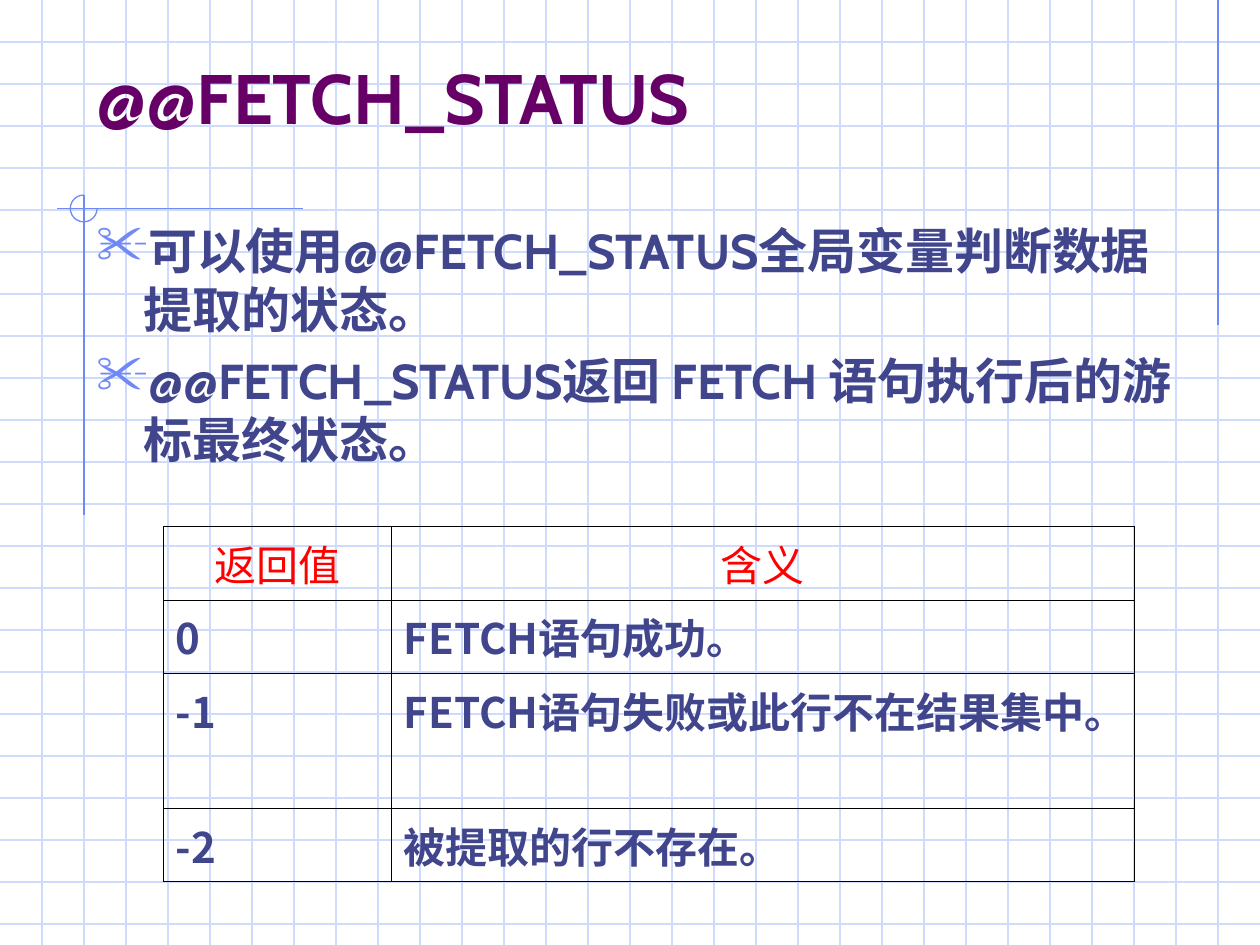
from lxml.etree import SubElement
from pptx import Presentation
from pptx.dml.color import RGBColor
from pptx.enum.shapes import MSO_CONNECTOR, MSO_SHAPE
from pptx.enum.text import MSO_ANCHOR, MSO_AUTO_SIZE, PP_ALIGN
from pptx.oxml import parse_xml
from pptx.oxml.ns import nsdecls, qn
from pptx.util import Pt

COLORS = {
    "grid": "CFDBFD",
    "accent": "6F89F7",
    "title": "660066",
    "text": "40458C",
    "header": "FF0000",
    "border": "000000",
}
WIDTH, HEIGHT, GRID_STEP = 720, 540, 24
HANGING = 27

prs = Presentation()
prs.slide_width, prs.slide_height = Pt(WIDTH), Pt(HEIGHT)
slide = prs.slides.add_slide(prs.slide_layouts[5])
shapes = slide.shapes


def add_rule(x1, y1, x2, y2, color):
    rule = shapes.add_connector(MSO_CONNECTOR.STRAIGHT, Pt(x1), Pt(y1), Pt(x2), Pt(y2))
    rule.line.color.rgb = RGBColor.from_string(COLORS[color])
    rule.line.width = Pt(0.75)
    SubElement(rule._element.spPr, qn("a:effectLst"))


def add_text(paragraph, text, size, font, color, bold=True):
    """Add one run, with the same font for Latin and East Asian letters."""
    run = paragraph.add_run()
    run.text = text
    run.font.size = Pt(size)
    run.font.bold = bold
    run.font.name = font
    run.font.color.rgb = RGBColor.from_string(COLORS[color])
    SubElement(run.font._element, qn("a:ea"), typeface=font)


# Squared paper
for y in range(GRID_STEP, HEIGHT, GRID_STEP):
    add_rule(0, y, WIDTH, y, "grid")
for x in range(GRID_STEP, WIDTH, GRID_STEP):
    add_rule(x, 0, x, HEIGHT, "grid")

# Accent lines and the open circle at their crossing
add_rule(696, 0, 696, 186, "accent")
add_rule(173, 119.2, 32.6, 119.2, "accent")
add_rule(48, 111.5, 48, 294.5, "accent")
circle = shapes.add_shape(MSO_SHAPE.ARC, Pt(40.2), Pt(111.5), Pt(15.3), Pt(15.3))
circle.adjustments[0] = 0
circle.adjustments[1] = 162  # 270 degrees
circle.shadow.inherit = False
circle.fill.background()
circle.line.color.rgb = RGBColor.from_string(COLORS["accent"])
circle.line.width = Pt(0.75)

# Title, in front of the grid
title = shapes.title
shapes._spTree.append(title._element)
title.left, title.top, title.width, title.height = Pt(48), Pt(24), Pt(612), Pt(59)
title.text_frame.auto_size = MSO_AUTO_SIZE.NONE
title.text_frame.vertical_anchor = MSO_ANCHOR.BOTTOM
heading = title.text_frame.paragraphs[0]
heading.alignment = PP_ALIGN.LEFT
add_text(heading, "@@FETCH_STATUS", 40, "Cabin", "title")

# Bulleted explanation
points = [
    "可以使用@@FETCH_STATUS全局变量判断数据提取的状态。",
    "@@FETCH_STATUS返回 FETCH 语句执行后的游标最终状态。",
]
body = shapes.add_textbox(Pt(48), Pt(122.4), Pt(633), Pt(158.4)).text_frame
body.word_wrap = True
for number, point in enumerate(points):
    paragraph = body.add_paragraph() if number else body.paragraphs[0]
    props = paragraph._p.get_or_add_pPr()
    props.set("marL", str(Pt(HANGING)))
    props.set("indent", str(Pt(-HANGING)))
    bullet_color = SubElement(props, qn("a:buClr"))
    SubElement(bullet_color, qn("a:srgbClr"), val=COLORS["accent"])
    SubElement(props, qn("a:buSzPct"), val="110000")
    SubElement(props, qn("a:buChar"), char="✂")
    if number:
        paragraph.space_before = Pt(7)
    add_text(paragraph, point, 28, "Cabin", "text")

# Table of return values
rows = [
    ("返回值", "含义"),
    ("0", "FETCH语句成功。"),
    ("-1", "FETCH语句失败或此行不在结果集中。"),
    ("-2", "被提取的行不存在。"),
]
column_widths = [130.3, 425]
row_heights = [42, 42, 77, 42]
table = shapes.add_table(
    len(rows), 2, Pt(93.2), Pt(300.8), Pt(sum(column_widths)), Pt(sum(row_heights))
).table
table.first_row = table.horz_banding = False
for column, width in zip(table.columns, column_widths):
    column.width = Pt(width)
for r, (values, height) in enumerate(zip(rows, row_heights)):
    table.rows[r].height = Pt(height)
    is_header = r == 0
    for c, value in enumerate(values):
        cell = table.cell(r, c)
        cell_props = cell._tc.get_or_add_tcPr()
        for side in ("lnL", "lnR", "lnT", "lnB"):
            cell_props.append(parse_xml(
                f'<a:{side} {nsdecls("a")} w="{Pt(0.45)}"><a:solidFill>'
                f'<a:srgbClr val="{COLORS["border"]}"/></a:solidFill></a:{side}>'
            ))
        cell.fill.background()
        paragraph = cell.text_frame.paragraphs[0]
        paragraph.alignment = PP_ALIGN.CENTER if is_header else PP_ALIGN.LEFT
        props = paragraph._p.get_or_add_pPr()
        props.set("marL", str(Pt(HANGING)))
        props.set("indent", str(Pt(-HANGING)))
        add_text(paragraph, value, 24, "Noto Sans CJK SC",
                 "header" if is_header else "text", bold=not is_header)

prs.save("out.pptx")
